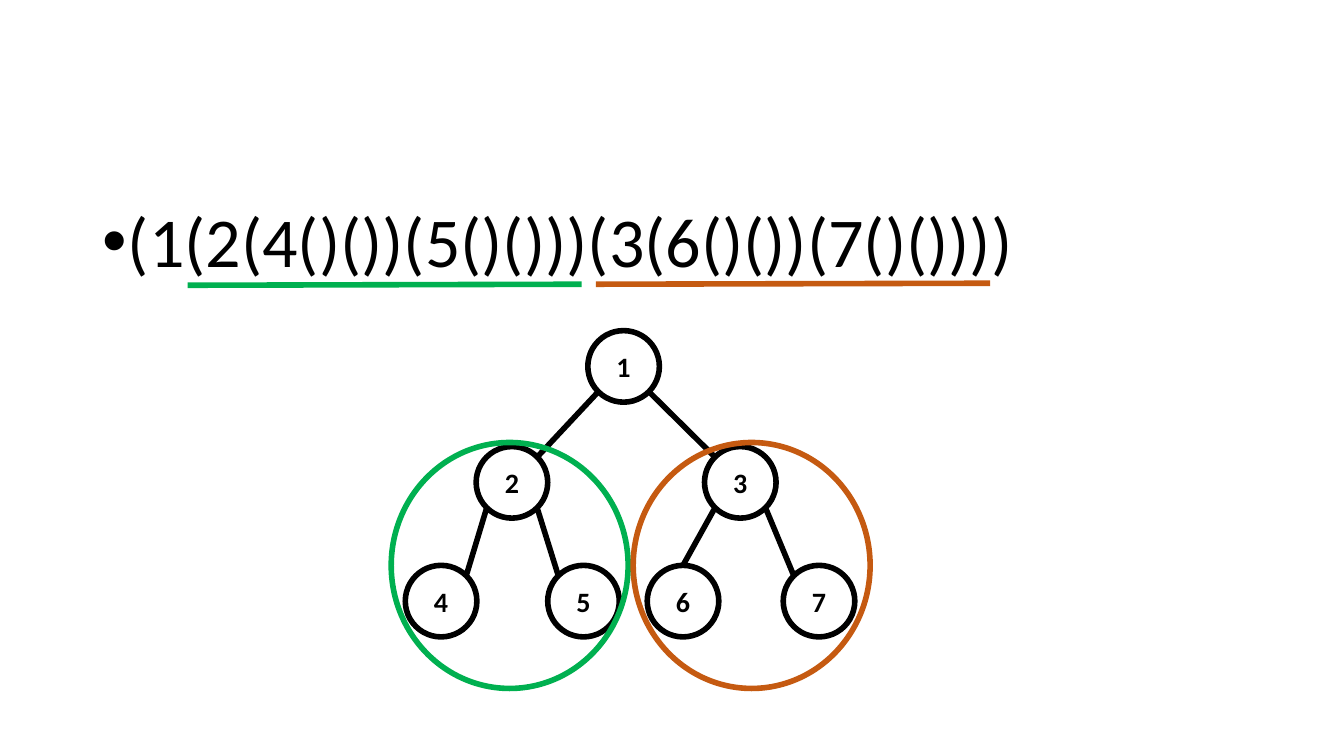
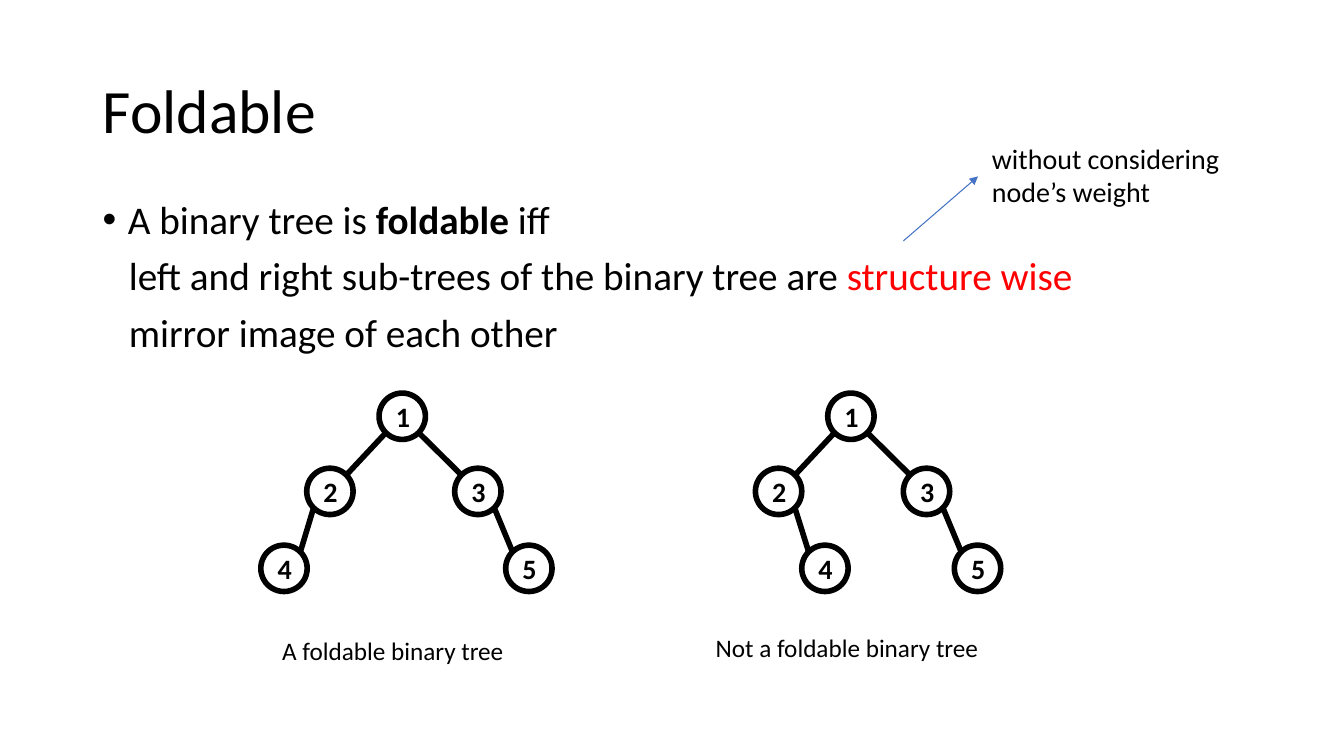
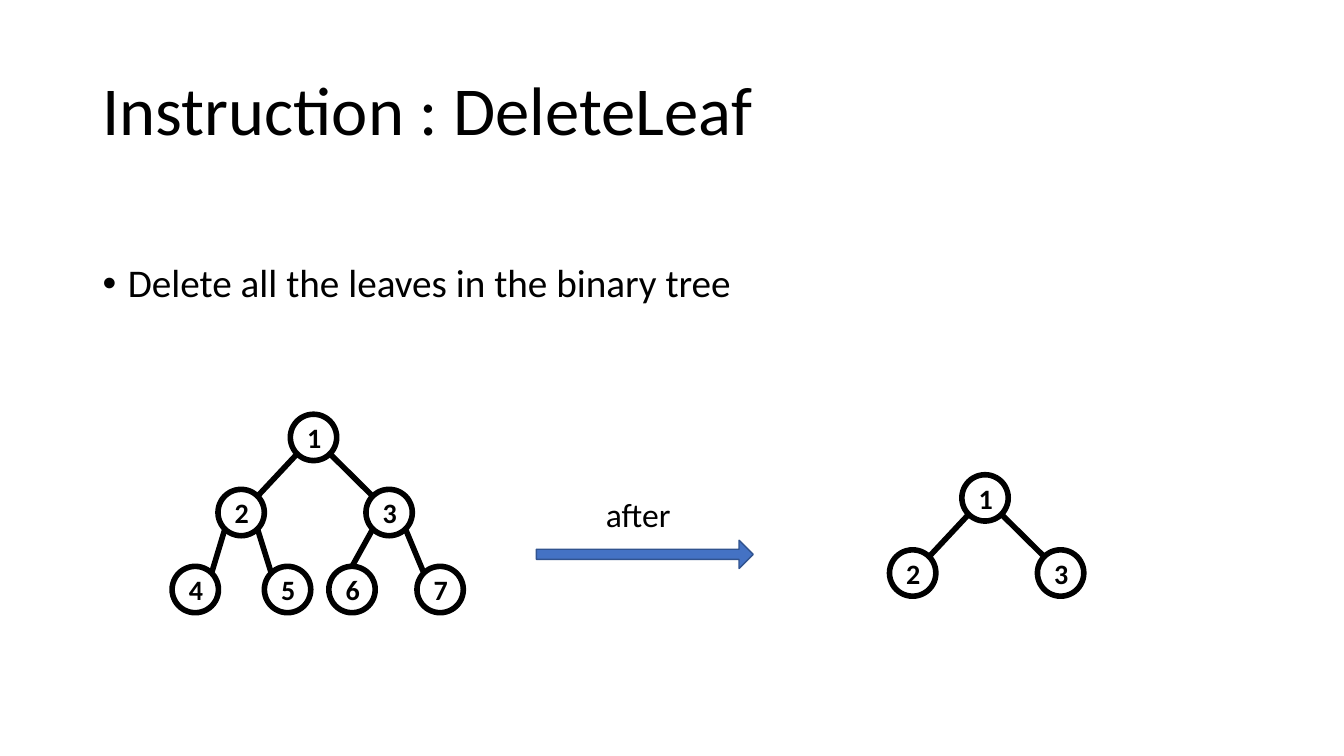
"""Build three slides about binary trees: notation, foldability and leaf deletion."""
from lxml.etree import SubElement
from pptx import Presentation
from pptx.dml.color import RGBColor
from pptx.enum.shapes import MSO_CONNECTOR, MSO_SHAPE
from pptx.enum.text import MSO_ANCHOR, PP_ALIGN
from pptx.oxml.ns import qn
from pptx.util import Inches, Pt

FONT = "Calibri"
BLACK = RGBColor(0x00, 0x00, 0x00)
RED = RGBColor(0xFF, 0x00, 0x00)
GREEN = RGBColor(0x00, 0xB0, 0x50)
ORANGE = RGBColor(0xC5, 0x5A, 0x11)
BLUE = RGBColor(0x44, 0x72, 0xC4)
NAVY = RGBColor(0x31, 0x53, 0x8F)

LEFT, CONTENT_WIDTH = 0.92, 11.5
TITLE_AREA = (LEFT, 0.4, CONTENT_WIDTH, 1.45)
STROKE = 4
LARGE_NODE, SMALL_NODE = 0.71, 0.46
DIAGONAL = 0.35

# Slot: (offset from the root, parent slot, side of the parent, arrival point), in node diameters.
SLOTS = {
    1: ((0, 0), None, 0, 0),
    2: ((-1.56, 1.62), 1, -1, (DIAGONAL, -DIAGONAL)),
    3: ((1.63, 1.62), 1, 1, (-DIAGONAL, -DIAGONAL)),
    4: ((-2.55, 3.28), 2, -1, (DIAGONAL, -DIAGONAL)),
    5: ((-0.56, 3.28), 2, 1, (-DIAGONAL, -DIAGONAL)),
    6: ((0.83, 3.28), 3, -1, (0, -0.5)),
    7: ((2.73, 3.28), 3, 1, (-DIAGONAL, -DIAGONAL)),
}

NOTATION = "(1(2(4()())(5()()))(3(6()())(7()())))"
SUBTREES = [
    {"color": GREEN, "ring": 3.88, "underline": ((1.86, 2.83), (5.77, 2.82))},
    {"color": ORANGE, "ring": 6.28, "underline": ((5.91, 2.82), (9.82, 2.81))},
]
DEFINITION = [
    ["A binary tree is ", ("foldable", {"bold": True}), " iff"],
    ["left and right sub-trees of the binary tree are ", ("structure wise", {"color": RED})],
    ["mirror image of each other"],
]
FOLD_TREES = [((3.76, 3.9), (1, 2, 3, 4, 7)), ((8.21, 3.9), (1, 2, 3, 5, 7))]
CAPTIONS = [
    ("A foldable binary tree", (2.7, 6.25, 2.63, 0.4)),
    ("Not a foldable binary tree", (7, 6.22, 2.97, 0.4)),
]
DELETE_TREES = [((2.88, 4.11), tuple(SLOTS)), ((9.54, 4.71), (1, 2, 3))]


def write(frame, lines, size=20, color=BLACK, bold=False, align=PP_ALIGN.LEFT,
          anchor=MSO_ANCHOR.TOP, spacing=None, before=0, indents=()):
    """Fill a text frame; each line is a list of strings or (string, format) pairs."""
    frame.word_wrap = True
    frame.vertical_anchor = anchor
    for index, line in enumerate(lines):
        para = frame.paragraphs[0] if index == 0 else frame.add_paragraph()
        para.alignment = align
        para.line_spacing = spacing
        para.space_before = Pt(before if index else 0)
        if index < len(indents):
            margin, hanging = indents[index]
            properties = para._p.get_or_add_pPr()
            properties.set("marL", str(Inches(margin)))
            properties.set("indent", str(Inches(hanging)))
            if hanging:
                SubElement(properties, qn("a:buFont"), typeface="Arial")
                SubElement(properties, qn("a:buChar"), char="•")
        for piece in line:
            text, changes = (piece, {}) if isinstance(piece, str) else piece
            span = para.add_run()
            span.text = text
            span.font.name = FONT
            span.font.size = Pt(size)
            span.font.bold = changes.get("bold", bold)
            span.font.color.rgb = changes.get("color", color)


def add_text(page, area, lines, **style):
    box = page.shapes.add_textbox(*map(Inches, area))
    write(box.text_frame, lines, **style)


def add_title(page, text, size):
    add_text(page, TITLE_AREA, [[text]], size=size, anchor=MSO_ANCHOR.MIDDLE, spacing=0.9)


def add_body(page, top, height, lines, size=28, indents=((0.25, -0.25),)):
    add_text(page, (LEFT, top, CONTENT_WIDTH, height), lines, size=size,
             spacing=0.9, before=10, indents=indents)


def add_preset(page, kind, area, line=BLACK, width=STROKE, fill=None):
    shape = page.shapes.add_shape(kind, *map(Inches, area))
    shape.shadow.inherit = False
    shape.line.color.rgb = line
    shape.line.width = Pt(width)
    if fill is None:
        shape.fill.background()
    else:
        shape.fill.solid()
        shape.fill.fore_color.rgb = fill
    return shape


def add_line(page, start, end, color=BLACK, width=STROKE, arrow=False):
    line = page.shapes.add_connector(MSO_CONNECTOR.STRAIGHT, *map(Inches, (*start, *end)))
    line.line.color.rgb = color
    line.line.width = Pt(width)
    if arrow:
        SubElement(line.line._get_or_add_ln(), qn("a:tailEnd"), type="triangle")
    SubElement(line._element.spPr, qn("a:effectLst"))


def add_tree(page, root, slots, diameter):
    """Draw the chosen slots, numbered in order, with an edge to each parent."""
    def place(slot, shift):
        return [corner + diameter * (offset + 0.5 + extra)
                for corner, offset, extra in zip(root, SLOTS[slot][0], shift)]

    for number, slot in enumerate(slots, 1):
        _, parent, side, arrival = SLOTS[slot]
        left, top = place(slot, (-0.5, -0.5))
        node = add_preset(page, MSO_SHAPE.OVAL, (left, top, diameter, diameter))
        write(node.text_frame, [[str(number)]], bold=True, align=PP_ALIGN.CENTER,
              anchor=MSO_ANCHOR.MIDDLE)
        if parent:
            add_line(page, place(parent, (side * DIAGONAL, DIAGONAL)), place(slot, arrival))


def build_notation(page):
    add_body(page, 2, 4.76, [[NOTATION]], size=50, indents=((0.25, -0.35),))
    add_tree(page, (5.83, 3.28), tuple(SLOTS), LARGE_NODE)
    for subtree in SUBTREES:
        add_preset(page, MSO_SHAPE.OVAL, (subtree["ring"], 4.39, 2.35, 2.44), subtree["color"])
        add_line(page, *subtree["underline"], color=subtree["color"])


def build_foldable(page):
    add_title(page, "Foldable", 44)
    add_body(page, 1.94, 1.8, DEFINITION, indents=((0.25, -0.25), (0.26, 0), (0.26, 0)))
    for root, slots in FOLD_TREES:
        add_tree(page, root, slots, SMALL_NODE)
    for caption, area in CAPTIONS:
        add_text(page, area, [[caption]], size=18)
    add_line(page, (8.96, 2.39), (9.7, 1.75), BLUE, 0.75, arrow=True)
    add_text(page, (9.74, 1.35, 2.66, 0.77), [["without considering node’s weight"]])


def build_delete_leaf(page):
    add_title(page, "Instruction : DeleteLeaf", 49)
    add_body(page, 2.57, 0.6, [["Delete all the leaves in the binary tree"]])
    for root, slots in DELETE_TREES:
        add_tree(page, root, slots, SMALL_NODE)
    add_text(page, (5.45, 4.85, 1.76, 0.5), [["after"]], size=24, align=PP_ALIGN.CENTER)
    arrow = add_preset(page, MSO_SHAPE.RIGHT_ARROW, (5.32, 5.36, 2.15, 0.28), NAVY, 1, BLUE)
    arrow.adjustments[0] = 0.36


def main():
    deck = Presentation()
    deck.slide_width, deck.slide_height = Inches(13.33), Inches(7.5)
    for build in (build_notation, build_foldable, build_delete_leaf):
        build(deck.slides.add_slide(deck.slide_layouts[6]))
    deck.save("out.pptx")


if __name__ == "__main__":
    main()
